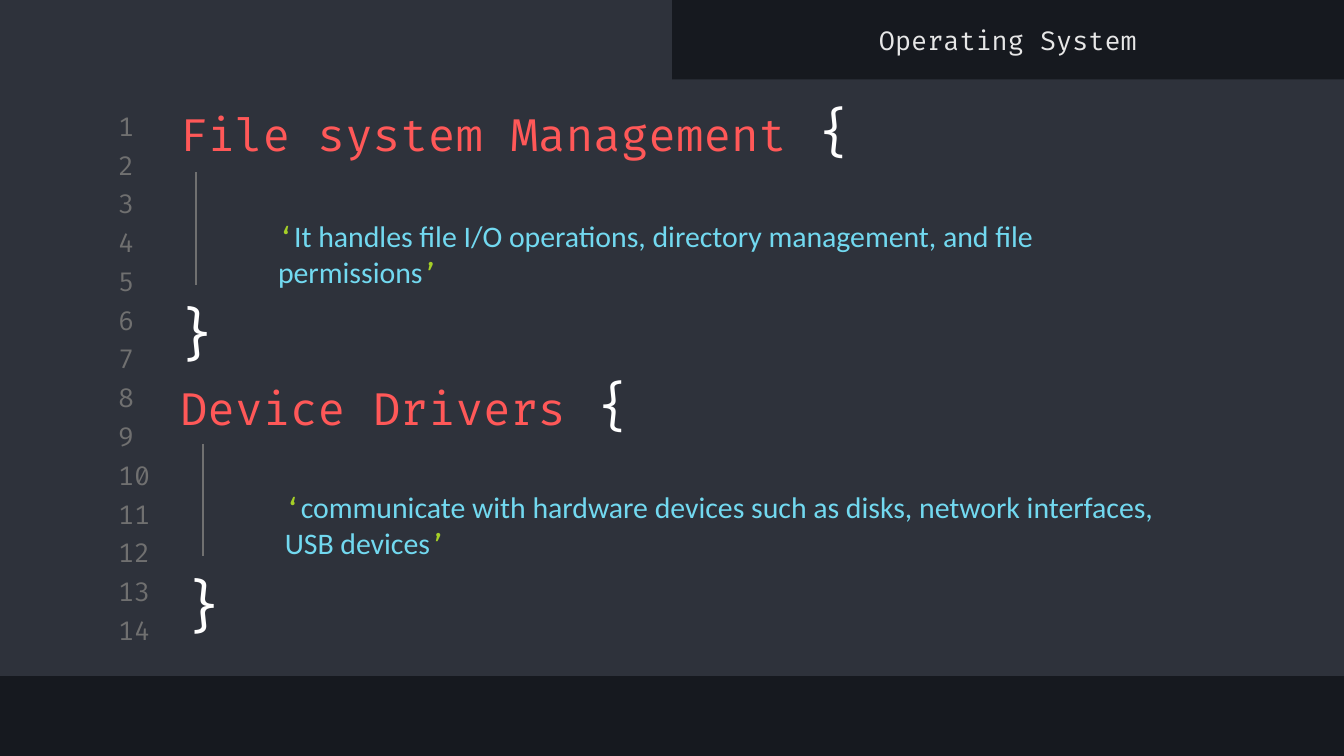
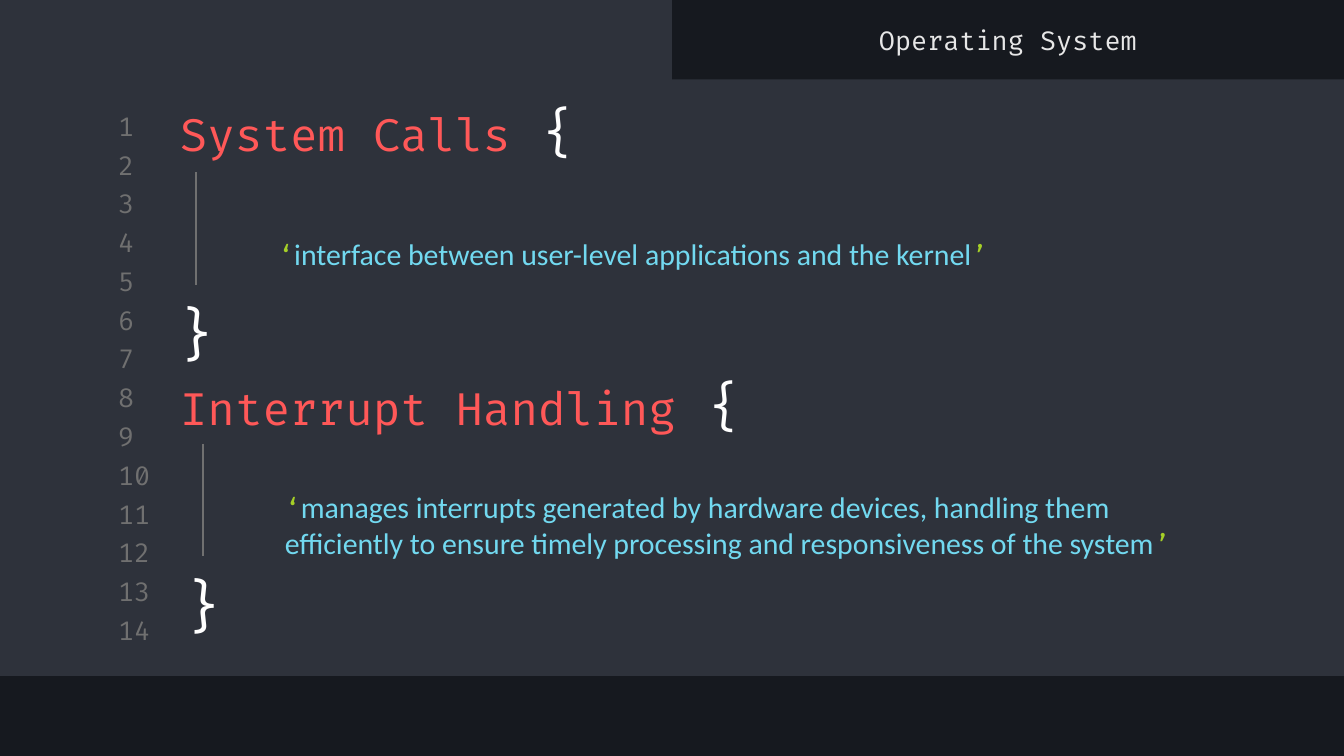
from lxml import etree
from pptx import Presentation
from pptx.dml.color import RGBColor
from pptx.enum.shapes import MSO_CONNECTOR, MSO_SHAPE
from pptx.enum.text import MSO_ANCHOR as Anchor, MSO_AUTO_SIZE as AutoSize, PP_ALIGN as Align
from pptx.oxml.ns import qn
from pptx.util import Pt

CODE, PROSE = "Fira Code", "Calibri"
BACKDROP, PANEL = "16191F", "2E323B"
MUTED, PALE, WHITE = "707070", "E7E7E7", "FFFFFF"
RED, GREEN, BLUE = "FF5858", "A5CF27", "72D9F0"
PAGE_WIDTH, PAGE_HEIGHT = 720, 405
LINE_COUNT, LINE_STEP = 14, 20.77
HEADING_LEFT = 89.3
HEADING_TOPS = (49, 195.8)
BODY_ORIGINS = ((85.7, 92.2), (89.3, 237.6))

SLIDES = [
    [
        ("File system Management", 397.4,
         "It handles file I/O operations, directory management, and file permissions", 501.1),
        ("Device Drivers", 318.2,
         "communicate with hardware devices such as disks, network interfaces, USB devices", 501.1),
    ],
    [
        ("System Calls", 318.2,
         "interface between user-level applications and the kernel", 436.3),
        ("Interrupt Handling", 318.2,
         "manages interrupts generated by hardware devices, handling them efficiently "
         "to ensure timely processing and responsiveness of the system", 503.3),
    ],
]


def color(value):
    """Turn a hex string into a colour."""
    return RGBColor.from_string(value)


def style(font, name=None, size=None, fill=None):
    """Set the given properties of a font."""
    if name:
        font.name = name
    if size:
        font.size = Pt(size)
    if fill:
        font.color.rgb = color(fill)


def add_text(page, box, anchor=Anchor.MIDDLE, align=Align.LEFT):
    """Add a wrapping text box and return its frame and first paragraph."""
    frame = page.shapes.add_textbox(*map(Pt, box)).text_frame
    frame.word_wrap = True
    frame.vertical_anchor = anchor
    frame.margin_left = frame.margin_right = Pt(7.2)
    frame.margin_top = frame.margin_bottom = Pt(7.2)
    para = frame.paragraphs[0]
    para.alignment = align
    return frame, para


def add_label(page, box, text, size, fill, **layout):
    """Add a text box in one code style and return its frame."""
    frame, para = add_text(page, box, **layout)
    para.text = text
    style(para.font, CODE, size, fill)
    return frame


def add_span(para, text, **font):
    """Append a styled run to a paragraph."""
    span = para.add_run()
    span.text = text
    style(span.font, **font)


def add_panel(page, box):
    """Add a plain editor panel."""
    panel = page.shapes.add_shape(MSO_SHAPE.RECTANGLE, *map(Pt, box))
    panel.shadow.inherit = False
    panel.fill.solid()
    panel.fill.fore_color.rgb = color(PANEL)
    panel.line.fill.background()


def add_guide(page, left, top, height):
    """Add a thin vertical indent guide."""
    guide = page.shapes.add_connector(
        MSO_CONNECTOR.STRAIGHT, Pt(left), Pt(top), Pt(left), Pt(top + height))
    guide.line.color.rgb = color(MUTED)
    guide.line.width = Pt(0.75)
    etree.SubElement(guide.element.spPr, qn("a:effectLst"))


def draw_editor(page):
    """Draw the background, panels, line numbers and tab title."""
    page.background.fill.solid()
    page.background.fill.fore_color.rgb = color(BACKDROP)
    add_panel(page, (0, 42.5, PAGE_WIDTH, 319.7))
    add_panel(page, (0, 0, PAGE_WIDTH / 2, 46.8))
    for index in range(LINE_COUNT):
        box = (56.2, 58.8 + index * LINE_STEP, 33.8, 17.3)
        add_label(page, box, str(index + 1), 14, MUTED)
    add_label(page, (PAGE_WIDTH / 2, 7.2, PAGE_WIDTH / 2, 28.1),
              "Operating System", 14, PALE, align=Align.CENTER)


def draw_heading(page, box, title):
    """Draw a block heading with its opening brace."""
    _, para = add_text(page, box)
    style(para.font, CODE)
    add_span(para, title, size=24, fill=RED)
    add_span(para, " ", size=28, fill=RED)
    add_span(para, "{", size=28, fill=WHITE)


def draw_body(page, box, text):
    """Draw a quoted description with its guide and closing brace."""
    left, top, width, height = box
    _, para = add_text(page, (left + 56.2, top + 12.2, width, height))
    add_span(para, "‘", name=CODE, size=14, fill=GREEN)
    add_span(para, text, name=PROSE, size=16, fill=BLUE)
    add_span(para, "’", name=CODE, size=14, fill=GREEN)
    brace = add_label(page, (left, top + 60.7, 39.6, 49), "}", 30, WHITE,
                      anchor=Anchor.TOP, align=Align.CENTER)
    brace.auto_size = AutoSize.SHAPE_TO_FIT_TEXT
    add_guide(page, left + 19.4, top, 60.5)


def draw_slide(page, blocks):
    """Draw the editor and its code blocks."""
    draw_editor(page)
    for block, heading_top, (left, top) in zip(blocks, HEADING_TOPS, BODY_ORIGINS):
        title, title_width, text, text_width = block
        draw_heading(page, (HEADING_LEFT, heading_top, title_width, 41.8), title)
        draw_body(page, (left, top, text_width, 62.6), text)


def main():
    """Build and save the deck."""
    deck = Presentation()
    deck.slide_width, deck.slide_height = Pt(PAGE_WIDTH), Pt(PAGE_HEIGHT)
    for blocks in SLIDES:
        draw_slide(deck.slides.add_slide(deck.slide_layouts[6]), blocks)
    deck.save("out.pptx")


if __name__ == "__main__":
    main()
